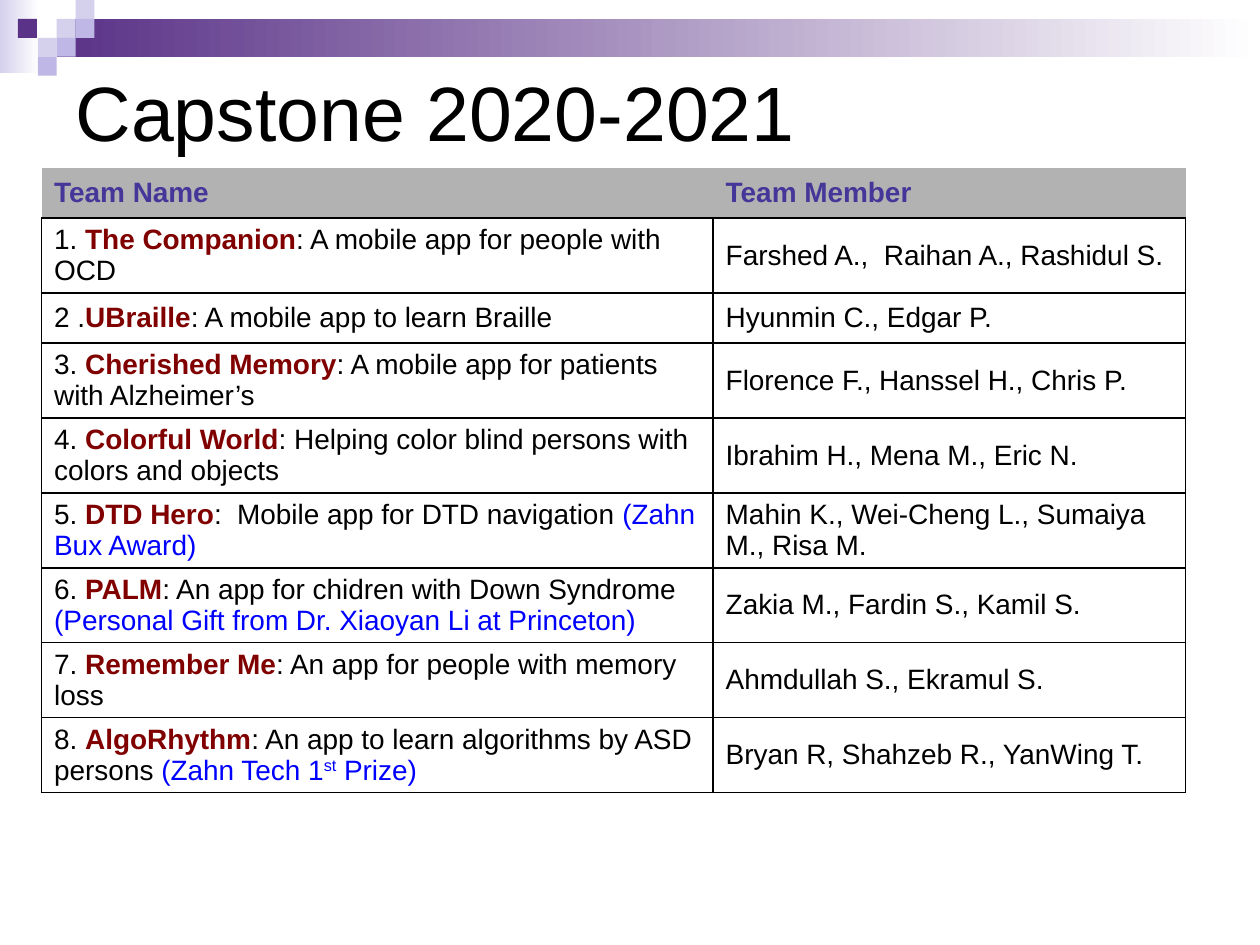
from lxml.etree import SubElement
from pptx import Presentation
from pptx.dml.color import RGBColor
from pptx.enum.text import MSO_ANCHOR, PP_ALIGN
from pptx.oxml.ns import qn
from pptx.util import Inches, Pt

COLORS = {
    "purple": "5A3287", "lavender": "D5D0EC", "lilac": "BFB8E6", "white": "FFFFFF",
    "black": "000000", "gray": "B2B2B2", "header": "453699",
    "maroon": "800000", "blue": "0000FF",
}
SQUARE = 0.15

# number, project, description, award (superscript between ^ marks), members
TEAMS = [
    ("1. ", "The Companion", ": A mobile app for people with OCD", "",
     "Farshed A.,  Raihan A., Rashidul S."),
    ("2 .", "UBraille", ": A mobile app to learn Braille", "", "Hyunmin C., Edgar P."),
    ("3. ", "Cherished Memory", ": A mobile app for patients with Alzheimer’s", "",
     "Florence F., Hanssel H., Chris P."),
    ("4. ", "Colorful World", ": Helping color blind persons with colors and objects", "",
     "Ibrahim H., Mena M., Eric N."),
    ("5. ", "DTD Hero", ":  Mobile app for DTD navigation ", "(Zahn Bux Award)",
     "Mahin K., Wei-Cheng L., Sumaiya M., Risa M."),
    ("6. ", "PALM", ": An app for chidren with Down Syndrome ",
     "(Personal Gift from Dr. Xiaoyan Li at Princeton)", "Zakia M., Fardin S., Kamil S."),
    ("7. ", "Remember Me", ": An app for people with memory loss", "",
     "Ahmdullah S., Ekramul S."),
    ("8. ", "AlgoRhythm", ": An app to learn algorithms by ASD persons",
     " (Zahn Tech 1^st^ Prize)", "Bryan R, Shahzeb R., YanWing T."),
]


def rgb(name):
    return RGBColor.from_string(COLORS[name])


def set_borders(cell, visible_sides):
    properties = cell._tc.get_or_add_tcPr()
    for position, side in enumerate("LRTB"):
        line = properties.makeelement(qn(f"a:ln{side}"), {"w": str(Pt(1))})
        properties.insert(position, line)
        if side in visible_sides:
            fill = SubElement(line, qn("a:solidFill"))
            SubElement(fill, qn("a:srgbClr"), val=COLORS["black"])
        else:
            SubElement(line, qn("a:noFill"))


presentation = Presentation()
presentation.slide_width, presentation.slide_height = Inches(10), Inches(7.5)
slide = presentation.slides.add_slide(presentation.slide_layouts[5])

# Corner decoration: left, top, width, height, start colour, fades to white
decoration = slide.shapes.add_group_shape()
blocks = [
    (0, 0, 0.31, 0.58, "lavender", True),
    (3 * SQUARE, SQUARE, 10 - 3 * SQUARE, 2 * SQUARE, "purple", True),
]
squares = [(3, 1, "lavender"), (4, 0, "lavender"), (4, 1, "lilac"), (2, 2, "lavender"),
           (0.95, 1, "purple"), (3, 2, "lilac"), (2, 3, "lilac")]
blocks += [(column * SQUARE, row * SQUARE, SQUARE, SQUARE, color, False)
           for column, row, color in squares]
for left, top, width, height, color, fades in blocks:
    shape = decoration.shapes.add_shape(
        1, Inches(left), Inches(top), Inches(width), Inches(height))
    shape.shadow.inherit = False
    shape.line.fill.background()
    if fades:
        shape.fill.gradient()
        shape.fill.gradient_angle = 0
        for stop, stop_color in zip(shape.fill.gradient_stops, (color, "white")):
            stop.color.rgb = rgb(stop_color)
    else:
        shape.fill.solid()
        shape.fill.fore_color.rgb = rgb(color)

# Title
title = slide.shapes.title
title.left, title.top, title.width, title.height = map(Inches, (0.5, 0.5, 9, 0.75))
title.text_frame.text = "Capstone 2020-2021"
title.text_frame.vertical_anchor = MSO_ANCHOR.MIDDLE
paragraph = title.text_frame.paragraphs[0]
paragraph.alignment = PP_ALIGN.LEFT
paragraph.font.name, paragraph.font.size = "Arial", Pt(44)
paragraph.font.color.rgb = rgb("black")

# Table contents: every cell is a list of (text, colour, bold)
rows = [[[("Team Name", "header", True)], [("Team Member", "header", True)]]]
for number, project, description, award, members in TEAMS:
    rows.append([[(number, "black", False), (project, "maroon", True),
                  (description, "black", False), (award, "blue", False)],
                 [(members, "black", False)]])

table = slide.shapes.add_table(
    len(rows), 2, Inches(0.33), Inches(1.33), Inches(9.08), Inches(4.93)).table
table.first_row = table.horz_banding = False
table.columns[0].width, table.columns[1].width = Inches(5.33), Inches(3.75)

for row_index, row in enumerate(rows):
    # The header and the second team fit on one line
    table.rows[row_index].height = Inches(0.4 if row_index in (0, 2) else 0.59)
    for column_index, parts in enumerate(row):
        cell = table.cell(row_index, column_index)
        cell.vertical_anchor = MSO_ANCHOR.MIDDLE
        if row_index == 0:
            cell.fill.solid()
            cell.fill.fore_color.rgb = rgb("gray")
        else:
            cell.fill.background()
        set_borders(cell, "LRTB" if row_index else "B")
        paragraph = cell.text_frame.paragraphs[0]
        for text, color, bold in parts:
            for piece_index, piece in enumerate(text.split("^")):
                if not piece:
                    continue
                run = paragraph.add_run()
                run.text = piece
                run.font.name, run.font.size = "Arial", Pt(16)
                run.font.bold = bold
                run.font.color.rgb = rgb(color)
                if piece_index % 2:
                    run.font._element.set("baseline", "30000")

presentation.save("out.pptx")
